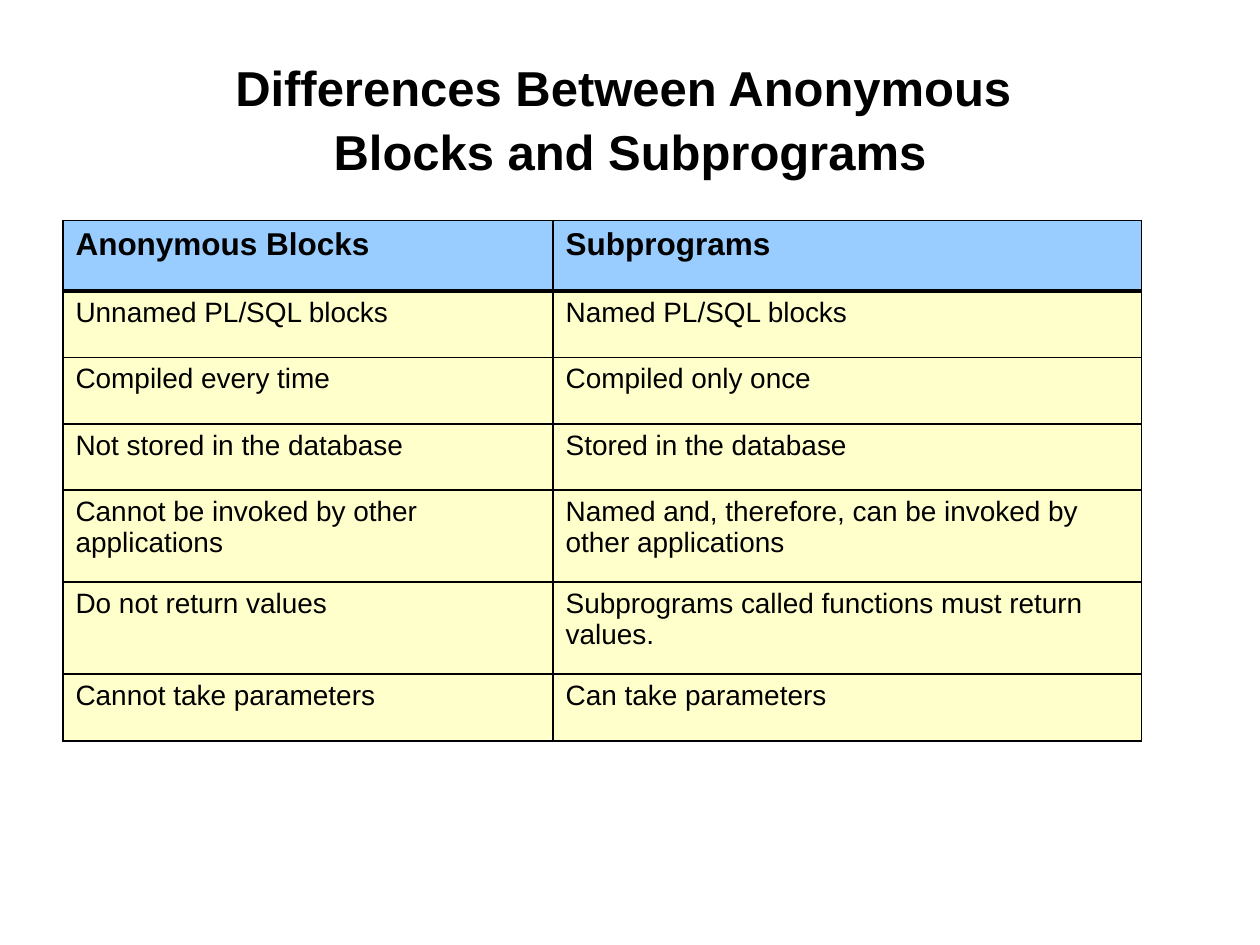
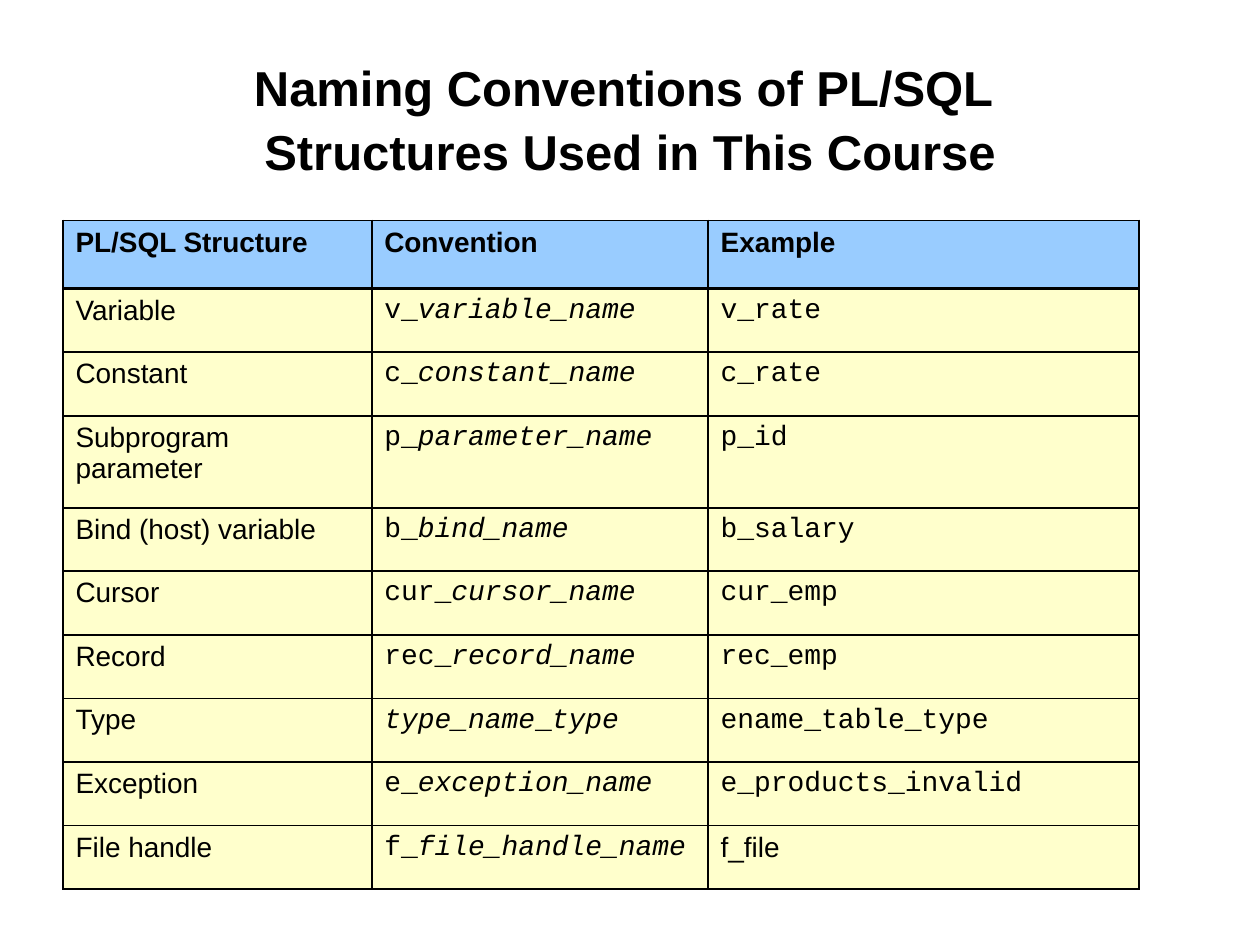
from lxml import etree
from pptx import Presentation
from pptx.dml.color import RGBColor
from pptx.enum.text import MSO_ANCHOR, MSO_AUTO_SIZE, PP_ALIGN
from pptx.oxml.ns import qn
from pptx.util import Inches, Pt

MIDDLE = MSO_ANCHOR.MIDDLE
NO_AUTOFIT = MSO_AUTO_SIZE.NONE
CENTER, LEFT = PP_ALIGN.CENTER, PP_ALIGN.LEFT

BLACK = RGBColor(0x00, 0x00, 0x00)
HEADER_BLUE = RGBColor(0x99, 0xCC, 0xFF)
BODY_CREAM = RGBColor(0xFF, 0xFF, 0xCC)

SANS, MONO = "Arial", "Courier New"
THIN, THICK = 1.08, 2.21
TITLE_ONLY = 5
TWO_LINE_ROW = 0.73

DIFFERENCES = [
    ("Anonymous Blocks", "Subprograms"),
    ("Unnamed PL/SQL blocks", "Named PL/SQL blocks"),
    ("Compiled every time", "Compiled only once"),
    ("Not stored in the database", "Stored in the database"),
    ("Cannot be invoked by other applications",
     "Named and, therefore, can be invoked by other applications"),
    ("Do not return values", "Subprograms called functions must return values."),
    ("Cannot take parameters", "Can take parameters"),
]

# A leading ` marks code; * switches italics on and off
CONVENTIONS = [
    ("PL/SQL Structure", "Convention", "Example"),
    ("Variable", "`v_*variable_name", "`v_rate"),
    ("Constant", "`c_*constant_name", "`c_rate"),
    ("Subprogram parameter", "`p_*parameter_name", "`p_id"),
    ("Bind (host) variable", "`b_*bind_name", "`b_salary"),
    ("Cursor", "`cur_*cursor_name", "`cur_emp"),
    ("Record", "`rec_*record_name", "`rec_emp"),
    ("Type", "`*type_name*_*type", "`ename_table_type"),
    ("Exception", "`e_*exception_name", "`e_products_invalid"),
    ("File handle", "`f_*file_handle_name", "f_file"),
]


def write_text(frame, text, size=16, bold=False, align=LEFT, spacing=None, before=0):
    """Fill the first paragraph, reading the code and italic marks."""
    paragraph = frame.paragraphs[0]
    paragraph.alignment = align
    paragraph.line_spacing = spacing
    paragraph.space_before = Pt(before)
    font_name = MONO if text.startswith("`") else SANS
    for line_no, line in enumerate(text.lstrip("`").split("\n")):
        if line_no:
            paragraph.add_line_break()
        for part_no, part in enumerate(line.split("*")):
            if not part:
                continue
            run = paragraph.add_run()
            run.text = part
            run.font.name = font_name
            run.font.size = Pt(size)
            run.font.bold = bold
            run.font.italic = part_no % 2 == 1
            run.font.color.rgb = BLACK


def set_borders(cell, top=THIN, bottom=THIN):
    properties = cell._tc.get_or_add_tcPr()
    for side, width in (("L", THIN), ("R", THIN), ("T", top), ("B", bottom)):
        line = etree.SubElement(properties, qn(f"a:ln{side}"), w=str(Pt(width)))
        fill = etree.SubElement(line, qn("a:solidFill"))
        etree.SubElement(fill, qn("a:srgbClr"), val=str(BLACK))


def add_titled_slide(prs, title_text):
    slide = prs.slides.add_slide(prs.slide_layouts[TITLE_ONLY])
    title = slide.shapes.title
    title.left, title.top = Inches(0.5), Inches(0.3)
    title.width, title.height = Inches(9), Inches(1.25)
    frame = title.text_frame
    frame.word_wrap = True
    frame.auto_size = NO_AUTOFIT
    frame.vertical_anchor = MIDDLE
    write_text(frame, title_text, size=28, bold=True, align=CENTER, spacing=1.08)
    return slide


def add_comparison_table(slide, rows, widths, height, header_height,
                         two_line_rows, header_size):
    table = slide.shapes.add_table(
        len(rows), len(widths), Inches(0.5), Inches(1.75),
        Inches(sum(widths)), Inches(height)).table
    table.first_row = table.horz_banding = False
    for column, width in zip(table.columns, widths):
        column.width = Inches(width)

    # One-line rows share the height left by the header and two-line rows
    heights = {0: header_height, **{row: TWO_LINE_ROW for row in two_line_rows}}
    one_line_row = (height - sum(heights.values())) / (len(rows) - len(heights))

    for row_no, texts in enumerate(rows):
        table.rows[row_no].height = Inches(heights.get(row_no, one_line_row))
        header = row_no == 0
        for column_no, text in enumerate(texts):
            cell = table.cell(row_no, column_no)
            set_borders(cell, top=THICK if row_no == 1 else THIN,
                        bottom=THICK if header else THIN)
            cell.fill.solid()
            cell.fill.fore_color.rgb = HEADER_BLUE if header else BODY_CREAM
            write_text(cell.text_frame, text, bold=header,
                       size=header_size if header else 16,
                       before=header_size / 4 if header else 0)


def main():
    prs = Presentation()
    prs.slide_width, prs.slide_height = Inches(10), Inches(7.5)

    # Anonymous blocks against subprograms
    differences = add_titled_slide(
        prs, "Differences Between Anonymous \nBlocks and Subprograms")
    add_comparison_table(differences, DIFFERENCES, widths=(3.89, 4.67), height=4.13,
                         header_height=0.56, two_line_rows=(4, 5), header_size=18)

    # Naming conventions
    conventions = add_titled_slide(
        prs, "Naming Conventions of PL/SQL \nStructures Used in This Course")
    add_comparison_table(conventions, CONVENTIONS, widths=(2.45, 2.67, 3.42),
                         height=5.31, header_height=0.54, two_line_rows=(3,),
                         header_size=16)

    prs.save("out.pptx")


if __name__ == "__main__":
    main()
